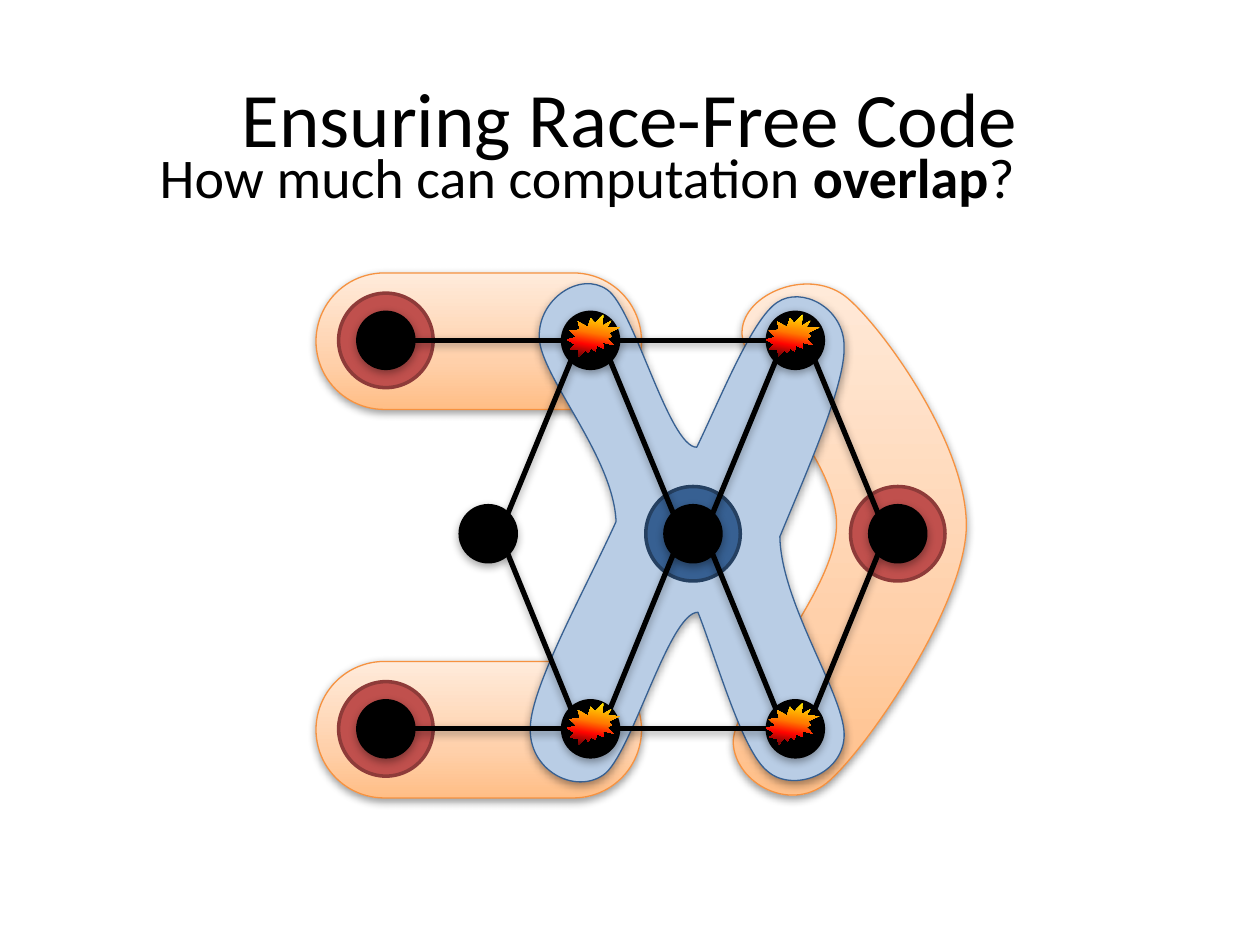
from dataclasses import dataclass
from itertools import product
from math import sqrt

from lxml import etree
from pptx import Presentation
from pptx.dml.color import RGBColor
from pptx.enum.shapes import MSO_CONNECTOR, MSO_SHAPE
from pptx.enum.text import MSO_ANCHOR, PP_ALIGN
from pptx.oxml.ns import qn
from pptx.util import Pt

OVAL = MSO_SHAPE.OVAL
ROUNDED = MSO_SHAPE.ROUNDED_RECTANGLE
BLAST = MSO_SHAPE.EXPLOSION2
STRAIGHT = MSO_CONNECTOR.STRAIGHT
LEFT, CENTER = PP_ALIGN.LEFT, PP_ALIGN.CENTER
TOP, MIDDLE = MSO_ANCHOR.TOP, MSO_ANCHOR.MIDDLE


@dataclass(frozen=True)
class Gradient:
    stops: tuple
    angle: float  # counter-clockwise degrees


@dataclass(frozen=True)
class Shadow:
    alpha: int
    blur: float
    distance: float


@dataclass(frozen=True)
class Style:
    fill: str | Gradient
    line: str | None = None
    width: float = 0
    shadow: Shadow | None = None


@dataclass(frozen=True)
class Theme:
    font: str = "Calibri"
    title_size: int = 44
    body_size: int = 32
    ink: str = "000000"
    ink_shadow: Shadow = Shadow(35, 5, 1.8)
    region_shadow: Shadow = Shadow(38, 5, 1.6)
    orange: Gradient = Gradient(((0, "FFEBDB"), (65, "FFD0AA"), (100, "FFBE86")), 270)
    fire: Gradient = Gradient(
        ((0, "FFF200"), (45, "FF7A00"), (70, "FF0300"), (100, "4D0808")), 260)


THEME = Theme()
ORANGE_REGION = Style(THEME.orange, "F69240", 0.75, THEME.region_shadow)
BLUE_REGION = Style("B9CDE5", "376092", 0.75, THEME.region_shadow)
RED_HALO = Style("C0504D", "8E3B39", 2)
BLUE_HALO = Style("376092", "254061", 2)
NODE = Style(THEME.ink, THEME.ink, 3, THEME.ink_shadow)
FIRE = Style(THEME.fire, shadow=Shadow(35, 3.1, 1.8))

# Mesh: the middle row is shifted by half a column
STEP = 117
TOP_Y, MIDDLE_Y, BOTTOM_Y = 194.5, 305, 416.5
OUTER_X = [220.5 + STEP * column for column in range(3)]
MIDDLE_X = [x + STEP / 2 for x in OUTER_X]
NODE_SIZE, HALO_SIZE = 31, 54

# Region outlines: a start point, then two handles and an end point per curve
RIGHT_REGION = [
    (552.2, 302.4),
    (553.7, 256.3), (506.2, 189.4), (484.6, 170.6),
    (463, 151.9), (424.8, 167.8), (424.1, 189.4),
    (422.6, 211), (478.8, 260.6), (478.1, 300.2),
    (477.4, 339.1), (419, 400.3), (419, 424.1),
    (419.8, 447.8), (452.9, 465.8), (474.5, 445.7),
    (496.8, 425.5), (550.1, 347.8), (552.2, 302.4),
]
CROSS_REGION = [
    (347, 165.6),
    (362.2, 175.7), (382.3, 255.6), (398.2, 255.6),
    (411.8, 227.5), (429.8, 182.2), (444.2, 172.8),
    (457.9, 163.4), (482.4, 175.7), (482.4, 198),
    (483.1, 220.3), (460.8, 270), (445.7, 306.7),
    (446.4, 345.6), (483.8, 398.9), (482.4, 421.2),
    (481, 443.5), (452.2, 452.9), (438.5, 440.6),
    (424.1, 429.1), (409.7, 377.3), (398.9, 349.9),
    (382.3, 349.9), (360.7, 432), (344.9, 442.8),
    (328.3, 454.3), (301.7, 439.9), (303.1, 415.4),
    (303.8, 391.7), (334.1, 337.7), (352.1, 298.1),
    (350.6, 260.6), (308.9, 215.3), (308.2, 193),
    (307.4, 170.6), (331.9, 154.8), (347, 165.6),
]


def add_color(parent, value: str):
    return etree.SubElement(parent, qn("a:srgbClr"), val=value)


def add_shadow(effects, shadow: Shadow) -> None:
    outer = etree.SubElement(
        effects, qn("a:outerShdw"), blurRad=str(Pt(shadow.blur)),
        dist=str(Pt(shadow.distance)), dir="5400000", rotWithShape="0")
    color = add_color(outer, THEME.ink)
    etree.SubElement(color, qn("a:alpha"), val=str(shadow.alpha * 1000))


def apply_style(shape, style: Style) -> None:
    properties = shape._element.spPr
    if isinstance(style.fill, Gradient):
        shape.fill.gradient()
        shape.fill.gradient_angle = style.fill.angle
        stops = properties.find(".//" + qn("a:gsLst"))
        stops.clear()
        for position, value in style.fill.stops:
            add_color(etree.SubElement(stops, qn("a:gs"), pos=str(position * 1000)), value)
    else:
        shape.fill.solid()
        shape.fill.fore_color.rgb = RGBColor.from_string(style.fill)
    if style.line:
        shape.line.color.rgb = RGBColor.from_string(style.line)
        shape.line.width = Pt(style.width)
    else:
        shape.line.fill.background()
    shape.shadow.inherit = False
    if style.shadow:
        add_shadow(properties.find(qn("a:effectLst")), style.shadow)


def add_centered(page, kind, center: tuple, width: float, height: float, style: Style):
    x, y = center
    shape = page.shapes.add_shape(
        kind, Pt(x - width / 2), Pt(y - height / 2), Pt(width), Pt(height))
    apply_style(shape, style)
    return shape


def add_region(page, points: list, style: Style) -> None:
    start, *rest = [(Pt(x), Pt(y)) for x, y in points]
    builder = page.shapes.build_freeform(*start)
    builder.add_line_segments(rest, close=True)
    shape = builder.convert_to_shape()
    # Turn each run of three segments into one curve
    segments = shape._element.findall(".//" + qn("a:lnTo"))
    for first in range(0, len(segments), 3):
        curve = etree.Element(qn("a:cubicBezTo"))
        segments[first].addprevious(curve)
        for segment in segments[first:first + 3]:
            curve.append(segment[0])
            segment.getparent().remove(segment)
    apply_style(shape, style)


def add_edge(page, begin: tuple, end: tuple) -> None:
    """Link the rims of two nodes, level or at the 45 degree points."""
    radius = NODE_SIZE / 2
    (x1, y1), (x2, y2) = begin, end
    reach = radius if y1 == y2 else radius / sqrt(2)
    across = reach if x2 > x1 else -reach
    down = 0 if y1 == y2 else reach if y2 > y1 else -reach
    edge = page.shapes.add_connector(
        STRAIGHT, Pt(x1 + across), Pt(y1 + down), Pt(x2 - across), Pt(y2 - down))
    edge.line.color.rgb = RGBColor.from_string(THEME.ink)
    edge.line.width = Pt(3)
    add_shadow(etree.SubElement(edge._element.spPr, qn("a:effectLst")), THEME.ink_shadow)


def add_text(page, spans: list, *, left: float, top: float, width: float,
             height: float, size: int, align=LEFT, anchor=TOP) -> None:
    box = page.shapes.add_textbox(Pt(left), Pt(top), Pt(width), Pt(height))
    box.text_frame.word_wrap = True
    box.text_frame.vertical_anchor = anchor
    para = box.text_frame.paragraphs[0]
    para.alignment = align
    for text, bold in spans:
        span = para.add_run()
        span.text = text
        span.font.name, span.font.size, span.font.bold = THEME.font, Pt(size), bold
        span.font.color.rgb = RGBColor.from_string(THEME.ink)


def main() -> None:
    deck = Presentation()
    deck.slide_width, deck.slide_height = Pt(720), Pt(540)
    page = deck.slides.add_slide(deck.slide_layouts[6])

    # Regions of computation
    add_region(page, RIGHT_REGION, ORANGE_REGION)
    for y in (BOTTOM_Y, TOP_Y):
        add_centered(page, ROUNDED, (273.6, y + 0.5), 186, 78, ORANGE_REGION).adjustments[0] = 0.5
    add_region(page, CROSS_REGION, BLUE_REGION)

    # Halos around the active nodes
    add_centered(page, OVAL, (MIDDLE_X[1], MIDDLE_Y), HALO_SIZE, HALO_SIZE, BLUE_HALO)
    for center in ((OUTER_X[0], BOTTOM_Y), (OUTER_X[0], TOP_Y), (MIDDLE_X[2], MIDDLE_Y)):
        add_centered(page, OVAL, center, HALO_SIZE, HALO_SIZE, RED_HALO)

    # Heading
    add_text(page, [("Ensuring Race-Free Code", False)], left=36, top=21.6, width=648,
             height=90, size=THEME.title_size, align=CENTER, anchor=MIDDLE)
    add_text(page, [("How much can computation ", False), ("overlap", True), ("?", False)],
             left=84.2, top=77.8, width=606, height=54, size=THEME.body_size)

    # Edges: along the outer rows, then from the middle row to its neighbours
    for y in (TOP_Y, BOTTOM_Y):
        for x1, x2 in zip(OUTER_X, OUTER_X[1:]):
            add_edge(page, (x1, y), (x2, y))
        for x1, x2 in product(MIDDLE_X, OUTER_X[1:]):
            if abs(x1 - x2) < STEP:
                add_edge(page, (x1, MIDDLE_Y), (x2, y))

    # Nodes
    for row, y in ((OUTER_X, TOP_Y), (OUTER_X, BOTTOM_Y), (MIDDLE_X, MIDDLE_Y)):
        for x in row:
            add_centered(page, OVAL, (x, y), NODE_SIZE, NODE_SIZE, NODE)

    # Conflicts where regions overlap
    for y, x in product((TOP_Y, BOTTOM_Y), (OUTER_X[1] + 1.6, OUTER_X[2] - 1.6)):
        add_centered(page, BLAST, (x, y - 2.7), 30.2, 23.8, FIRE)

    deck.save("out.pptx")


if __name__ == "__main__":
    main()
